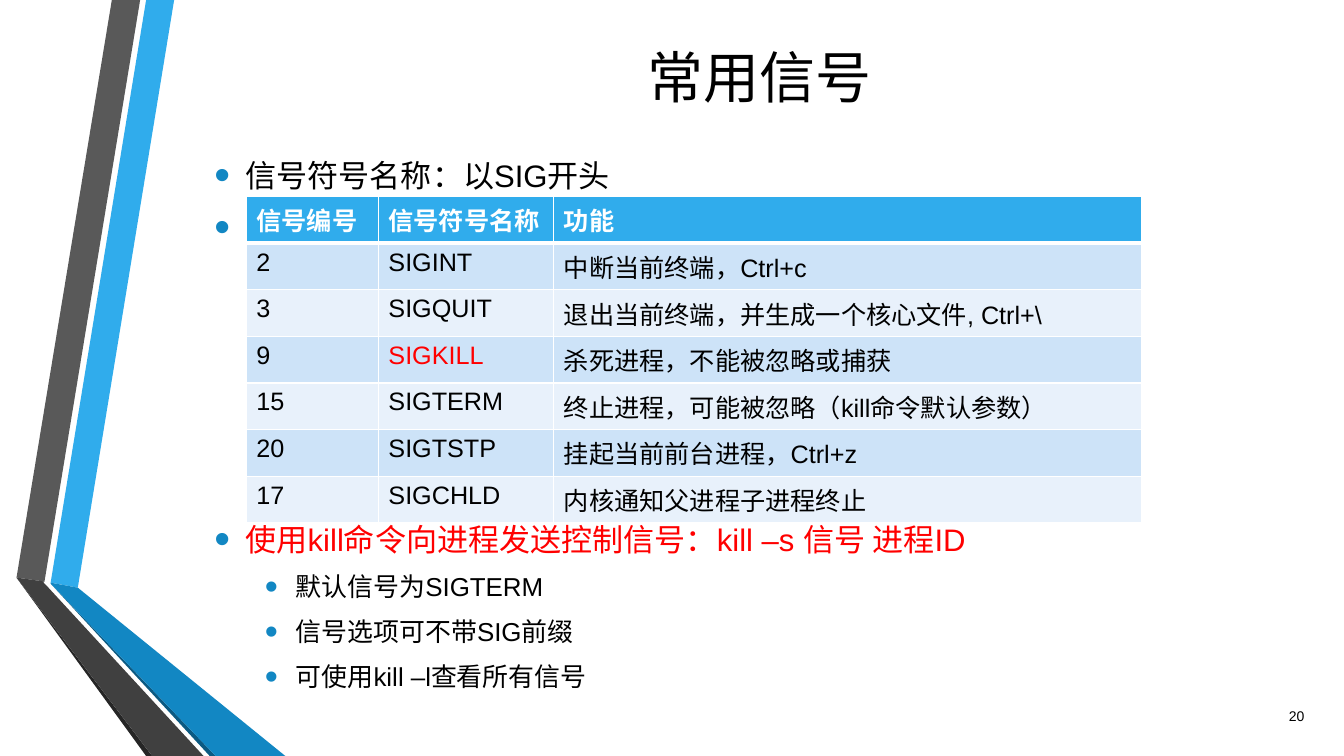
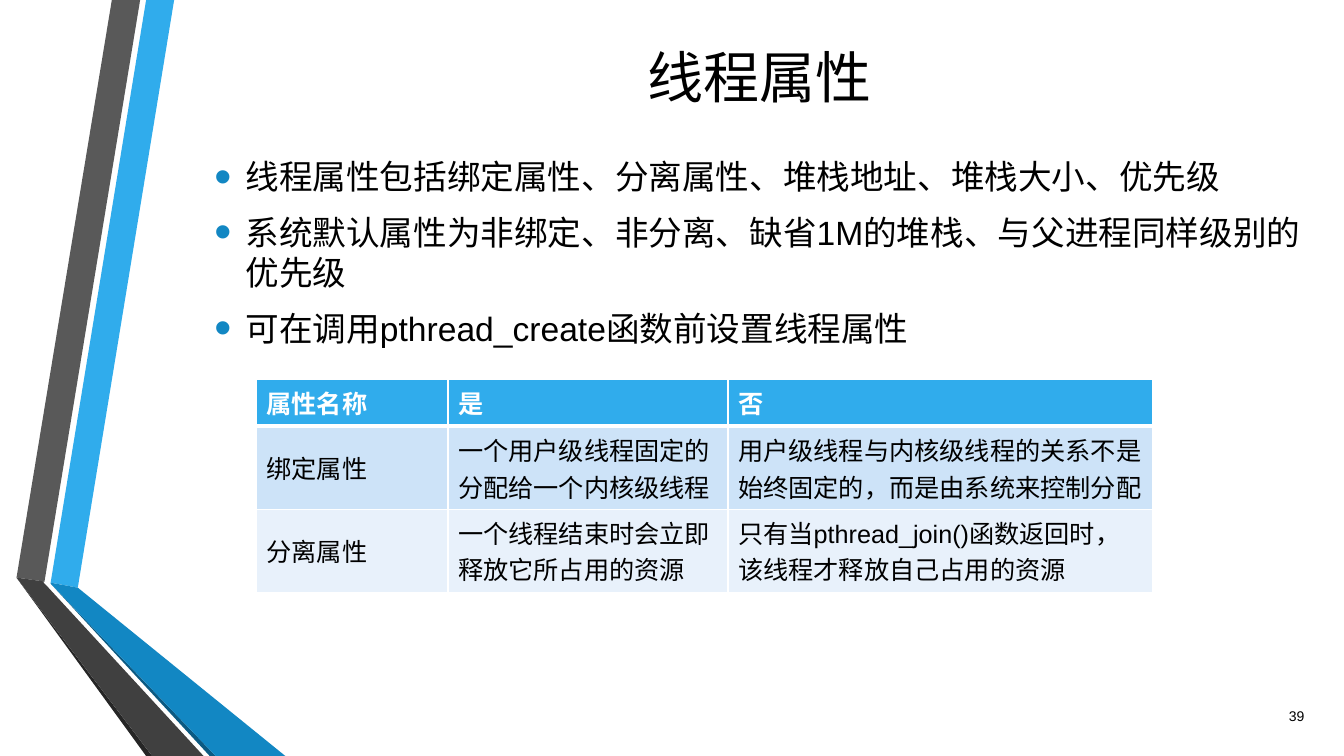
from lxml.etree import SubElement
from pptx import Presentation
from pptx.dml.color import RGBColor
from pptx.enum.text import MSO_ANCHOR, MSO_AUTO_SIZE, PP_ALIGN
from pptx.oxml.ns import qn
from pptx.util import Pt

COLORS = {
    "text": "000000",
    "white": "FFFFFF",
    "alert": "FF0000",
    "sky": "30ACEC",
    "gray": "595959",
    "charcoal": "262626",
    "navy": "0C5A82",
    "blue": "1287C3",
    "slate": "404040",
    "row_dark": "CDE3F8",
    "row_light": "E8F1FB",
}

BANDS = [
    ("sky", [(36.2, 416.2), (55.6, 419.8), (124.4, 0), (104.4, 0)]),
    ("gray", [(100.1, 0), (79.9, 0), (11.8, 412.6), (31.8, 415.4)]),
    ("charcoal", [(11.8, 412.6), (104.4, 540), (108.7, 540)]),
    ("navy", [(36.2, 416.9), (149.8, 540), (154.1, 540)]),
    ("blue", [(36.2, 416.9), (154.1, 540), (203.8, 540), (55.6, 419.8), (36.2, 416.2)]),
    ("slate", [(145.4, 540), (34.6, 419.8), (31, 416.2), (31.8, 415.4),
               (11.8, 412.6), (108.7, 540)]),
]


def rgb(name):
    return RGBColor.from_string(COLORS[name])


class Deck:
    font_name = "Arial"
    line_spacing = 1.0
    bullet_indent = 22.2
    level_indent = 36

    def __init__(self):
        self.presentation = Presentation()
        self.presentation.slide_width = Pt(960)
        self.presentation.slide_height = Pt(540)
        self.slide = None

    def add_slide(self, title, number):
        layout = self.presentation.slide_layouts[1]
        self.slide = self.presentation.slides.add_slide(layout)
        shape = self.slide.shapes.title
        self.place(shape, 146, 18.7, 793.4, 70.6)
        frame = shape.text_frame
        frame.auto_size = MSO_AUTO_SIZE.NONE
        frame.vertical_anchor = MSO_ANCHOR.MIDDLE
        frame.text = title
        frame.paragraphs[0].alignment = PP_ALIGN.CENTER
        self.style(frame.paragraphs[0], 40)
        self.add_number(number)

    def place(self, shape, left, top, width, height):
        shape.left, shape.top = Pt(left), Pt(top)
        shape.width, shape.height = Pt(width), Pt(height)

    def style(self, paragraph, size, color="text", bold=False):
        font = paragraph.font
        font.name = self.font_name
        font.size = Pt(size)
        font.bold = bold
        font.color.rgb = rgb(color)

    def add_number(self, number):
        box = self.slide.shapes.add_textbox(Pt(895.7), Pt(496.8), Pt(43.2), Pt(28.8))
        frame = box.text_frame
        frame.word_wrap = True
        frame.vertical_anchor = MSO_ANCHOR.MIDDLE
        frame.text = str(number)
        frame.paragraphs[0].alignment = PP_ALIGN.RIGHT
        self.style(frame.paragraphs[0], 10)

    def add_master_bands(self):
        master_tree = self.presentation.slide_master.shapes.element
        for index, (color, points) in enumerate(BANDS):
            corners = [(Pt(x), Pt(y)) for x, y in points]
            builder = self.slide.shapes.build_freeform(*corners[0], scale=1.0)
            builder.add_line_segments(corners[1:], close=True)
            band = builder.convert_to_shape()
            band.shadow.inherit = False
            band.fill.solid()
            band.fill.fore_color.rgb = rgb(color)
            band.line.fill.background()
            band.element.nvSpPr.cNvPr.set("id", str(100 + index))
            master_tree.insert(2 + index, band.element)

    def add_list(self, items):
        body = self.slide.placeholders[1]
        self.place(body, 146, 97.2, 793.4, 389.5)
        frame = body.text_frame
        frame.auto_size = MSO_AUTO_SIZE.NONE
        frame.margin_left = frame.margin_right = Pt(7.2)
        frame.margin_top, frame.margin_bottom = Pt(14.4), Pt(3.6)
        frame.text = "\n".join(item["text"] for item in items)
        for paragraph, item in zip(frame.paragraphs, items):
            size = item["size"]
            paragraph.level = item.get("level", 0)
            paragraph.line_spacing = self.line_spacing
            paragraph.space_before = Pt(size * 0.2 + item.get("gap", 0))
            paragraph.space_after = Pt(6)
            self.add_bullet(paragraph)
            self.style(paragraph, size, item.get("color", "text"))

    def add_bullet(self, paragraph):
        properties = paragraph._p.get_or_add_pPr()
        margin = self.bullet_indent + self.level_indent * paragraph.level
        properties.set("marL", str(Pt(margin)))
        properties.set("indent", str(-Pt(self.bullet_indent)))
        color = SubElement(properties, qn("a:buClr"))
        SubElement(color, qn("a:srgbClr"), val=COLORS["blue"])
        SubElement(properties, qn("a:buSzPct"), val="145000")
        SubElement(properties, qn("a:buFont"), typeface=self.font_name)
        SubElement(properties, qn("a:buChar"), char="•")

    def add_table(self, left, top, widths, heights, rows, anchor, alerts=()):
        frame = self.slide.shapes.add_table(
            len(rows), len(widths), Pt(left), Pt(top),
            Pt(sum(widths)), Pt(sum(heights)))
        table = frame.table
        for column, width in zip(table.columns, widths):
            column.width = Pt(width)
        for row_index, texts in enumerate(rows):
            table.rows[row_index].height = Pt(heights[row_index])
            for column_index, text in enumerate(texts):
                cell = table.cell(row_index, column_index)
                cell.text = text
                cell.vertical_anchor = anchor
                self.add_borders(cell, row_index)
                header = row_index == 0
                fill = "sky" if header else ("row_light", "row_dark")[row_index % 2]
                color = "white" if header else "alert" if text in alerts else "text"
                cell.fill.solid()
                cell.fill.fore_color.rgb = rgb(fill)
                self.style(cell.text_frame.paragraphs[0], 18, color, header)

    def add_borders(self, cell, row_index):
        properties = cell._tc.get_or_add_tcPr()
        widths = {"lnL": 1, "lnR": 1,
                  "lnT": 3 if row_index == 1 else 1,
                  "lnB": 3 if row_index == 0 else 1}
        for side, width in widths.items():
            line = SubElement(properties, qn("a:" + side), w=str(Pt(width)))
            fill = SubElement(line, qn("a:solidFill"))
            SubElement(fill, qn("a:srgbClr"), val=COLORS["white"])


deck = Deck()

deck.add_slide("常用信号", 20)
deck.add_master_bands()
deck.add_list([
    {"text": "信号符号名称：以SIG开头", "size": 22.2},
    {"text": " ", "size": 22.2},
    {"text": "使用kill命令向进程发送控制信号：kill –s 信号 进程ID", "size": 22.2,
     "color": "alert", "gap": 185.7},
    {"text": "默认信号为SIGTERM", "size": 18.5, "level": 1},
    {"text": "信号选项可不带SIG前缀", "size": 18.5, "level": 1},
    {"text": "可使用kill –l查看所有信号", "size": 18.5, "level": 1},
])
deck.add_table(176, 140.4, [94.3, 125.3, 420], [33.3] * 7, [
    ("信号编号", "信号符号名称", "功能"),
    ("2", "SIGINT", "中断当前终端，Ctrl+c"),
    ("3", "SIGQUIT", "退出当前终端，并生成一个核心文件, Ctrl+\\"),
    ("9", "SIGKILL", "杀死进程，不能被忽略或捕获"),
    ("15", "SIGTERM", "终止进程，可能被忽略（kill命令默认参数）"),
    ("20", "SIGTSTP", "挂起当前前台进程，Ctrl+z"),
    ("17", "SIGCHLD", "内核通知父进程子进程终止"),
], MSO_ANCHOR.TOP, alerts=("SIGKILL",))

deck.add_slide("线程属性", 39)
deck.add_list([
    {"text": "线程属性包括绑定属性、分离属性、堆栈地址、堆栈大小、优先级", "size": 24},
    {"text": "系统默认属性为非绑定、非分离、缺省1M的堆栈、与父进程同样级别的优先级",
     "size": 24},
    {"text": "可在调用pthread_create函数前设置线程属性", "size": 24},
])
deck.add_table(183.2, 271.2, [136.8, 200, 303.2], [33.3, 59.3, 59.3], [
    ("属性名称", "是", "否"),
    ("绑定属性", "一个用户级线程固定的分配给一个内核级线程",
     "用户级线程与内核级线程的关系不是始终固定的，而是由系统来控制分配"),
    ("分离属性", "一个线程结束时会立即释放它所占用的资源",
     "只有当pthread_join()函数返回时，该线程才释放自己占用的资源"),
], MSO_ANCHOR.MIDDLE)

deck.presentation.save("out.pptx")
